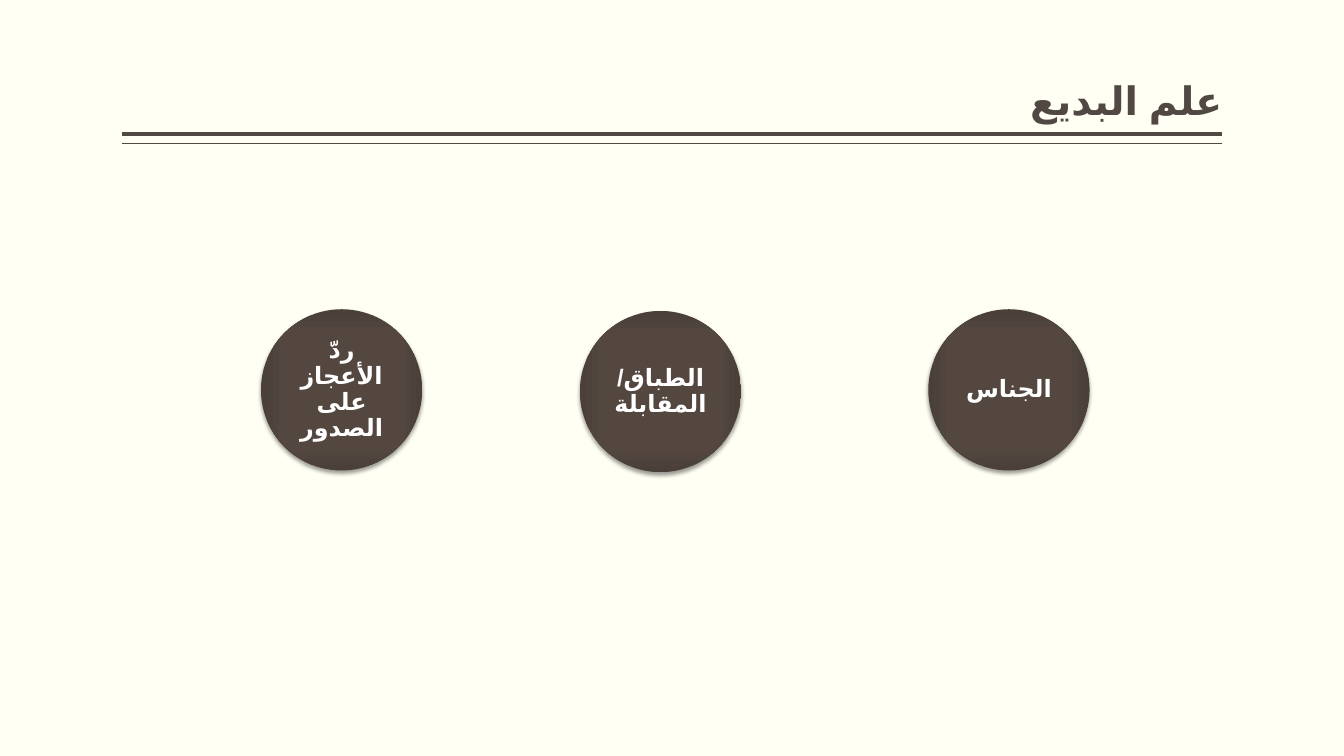
"""Build the slide on the three figures of Arabic rhetoric."""
from lxml.etree import SubElement
from pptx import Presentation
from pptx.dml.color import RGBColor
from pptx.enum.shapes import MSO_CONNECTOR, MSO_SHAPE
from pptx.enum.text import MSO_ANCHOR, PP_ALIGN
from pptx.oxml import parse_xml
from pptx.oxml.ns import nsdecls, qn
from pptx.util import Pt


def color(code):
    return RGBColor.from_string(code)


def write(shape, text, size, ink, align, anchor, pad=0):
    frame = shape.text_frame
    frame.word_wrap = True
    frame.vertical_anchor = anchor
    frame.margin_left = frame.margin_right = 0
    frame.margin_top = frame.margin_bottom = Pt(pad)
    para = frame.paragraphs[0]
    para.alignment = align
    para.line_spacing = 0.9
    run = para.add_run()
    run.text = text
    font = run.font
    font.name, font.size, font.bold = "Arial", Pt(size), True
    font.color.rgb = color(ink)
    props = run._r.get_or_add_rPr()
    props.set("lang", "ar-SA")
    SubElement(props, qn("a:cs")).set("typeface", "Arial")
    return para


INK = "514843"
LEFT, RIGHT = 87.1, 873.1
SIZE = 115.2
GRAD = f"""<a:gradFill {nsdecls("a")} rotWithShape="1"><a:gsLst>
<a:gs pos="0"><a:srgbClr val="544740"/></a:gs>
<a:gs pos="71000"><a:srgbClr val="534740"/></a:gs>
<a:gs pos="100000"><a:srgbClr val="4A3F39"/></a:gs></a:gsLst>
<a:path path="rect"><a:fillToRect l="50000" t="50000" r="50000" b="50000"/></a:path>
</a:gradFill>"""
SHADE = f"""<a:outerShdw {nsdecls("a")} blurRad="{Pt(3.1)}" dist="{Pt(2)}" dir="5400000"
rotWithShape="0"><a:srgbClr val="000000"><a:alpha val="38000"/></a:srgbClr></a:outerShdw>"""

deck = Presentation()
deck.slide_width, deck.slide_height = Pt(960), Pt(540)
slide = deck.slides.add_slide(deck.slide_layouts[5])
slide.background.fill.solid()
slide.background.fill.fore_color.rgb = color("FFFFF3")

title = slide.shapes.title
title.left, title.top = Pt(LEFT), Pt(5.8)
title.width, title.height = Pt(RIGHT - LEFT), Pt(86.4)
para = write(title, "علم البديع", 28, INK, PP_ALIGN.RIGHT, MSO_ANCHOR.BOTTOM, pad=3.6)
para._p.get_or_add_pPr().set("rtl", "1")

for y, width in [(95.8, 3), (102.6, 1)]:
    rule = slide.shapes.add_connector(
        MSO_CONNECTOR.STRAIGHT, Pt(RIGHT), Pt(y), Pt(LEFT), Pt(y))
    rule.line.color.rgb = color(INK)
    rule.line.width = Pt(width)
    SubElement(rule._element.spPr, qn("a:effectLst"))

for text, x, y in [
    ("ردّ الأعجاز على الصدور", 186.4, 220.9),
    ("الطباق/المقابلة", 414.2, 222.1),
    ("الجناس", 663.1, 220.9),
]:
    disc = slide.shapes.add_shape(MSO_SHAPE.OVAL, Pt(x), Pt(y), Pt(SIZE), Pt(SIZE))
    disc.line.fill.background()
    disc.shadow.inherit = False
    props = disc._element.spPr
    props.insert(2, parse_xml(GRAD))
    props.find(qn("a:effectLst")).append(parse_xml(SHADE))
    write(disc, text, 17, "FFFFFF", PP_ALIGN.CENTER, MSO_ANCHOR.MIDDLE)

deck.save("out.pptx")
